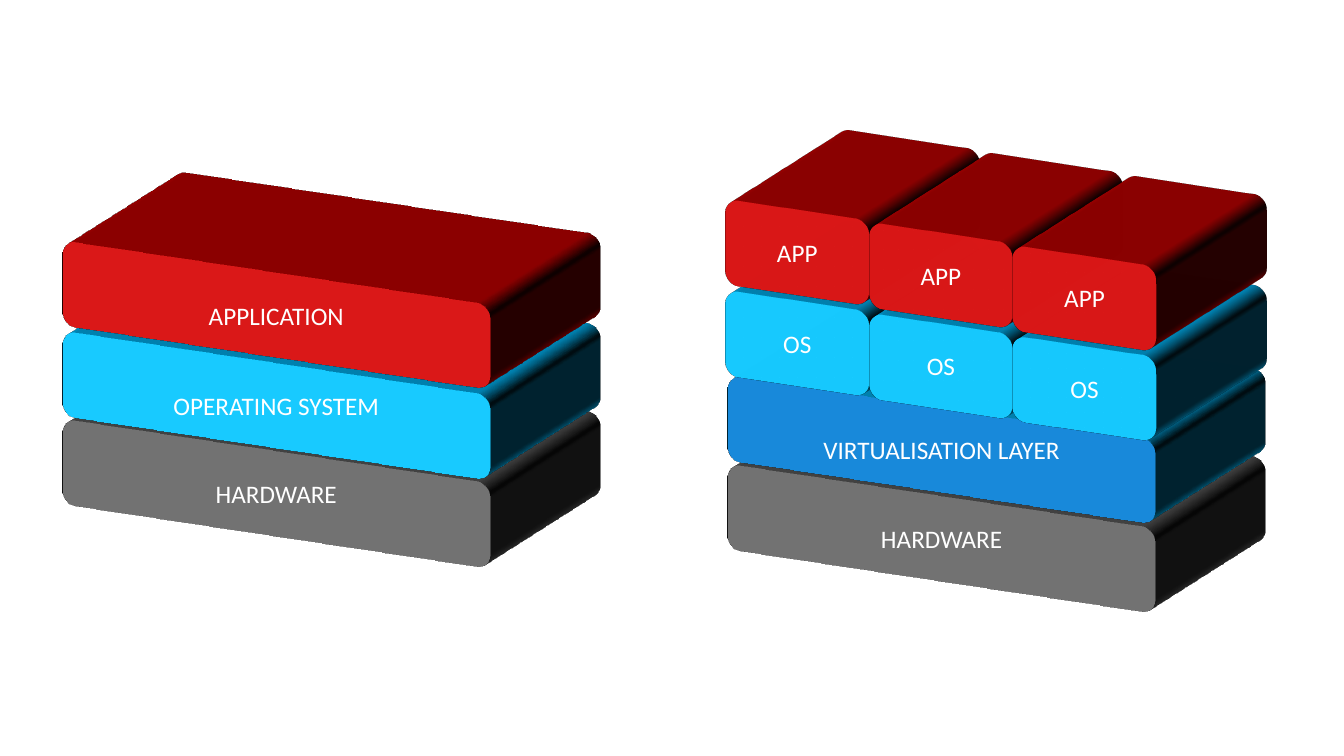
from lxml import etree
from pptx import Presentation
from pptx.dml.color import RGBColor
from pptx.enum.shapes import MSO_SHAPE as Preset
from pptx.enum.text import MSO_ANCHOR as Anchor, PP_ALIGN as Align
from pptx.oxml.ns import nsdecls
from pptx.util import Pt

WHITE = RGBColor(0xFF, 0xFF, 0xFF)
GREY = RGBColor(0x59, 0x59, 0x59)
BLUE = RGBColor(0x00, 0x70, 0xC0)
CYAN = RGBColor(0x00, 0xB0, 0xF0)
RED = RGBColor(0xC0, 0x00, 0x00)

LAYER_WIDTH, COLUMN_WIDTH, BLOCK_HEIGHT = 340, 113.8, 64
BLOCK_DEPTH = 180
LABEL_FONT = {"name": "Calibri", "size": Pt(18)}

PHYSICAL_LAYERS = [
    ("HARDWARE", 320.4, GREY, GREY),
    ("OPERATING SYSTEM", 257.8, CYAN, CYAN),
    ("APPLICATION", 193, RED, RED),
]
VIRTUAL_LAYERS = [
    ("HARDWARE", 352.8, GREY, GREY),
    ("VIRTUALISATION LAYER", 289.4, BLUE, CYAN),
]
COLUMN_COUNT = 3
COLUMN_LEFT, COLUMN_STEP = 512.6, 102.6
OS_TOP, OS_DROP, APP_RISE = 213.1, 16.2, 64.8


def set_values(target, values):
    for name, value in values.items():
        setattr(target, name, value)


def extrude(box):
    properties = box._element.spPr
    scene = (
        f'<a:scene3d {nsdecls("a")}><a:camera prst="isometricOffAxis2Left"/>'
        '<a:lightRig rig="threePt" dir="t"/></a:scene3d>'
    )
    solid = f'<a:sp3d {nsdecls("a")} extrusionH="{int(Pt(BLOCK_DEPTH))}"/>'
    for markup in (scene, solid):
        properties.append(etree.fromstring(markup))


def add_block(page, label, left, top, width, fill, outline):
    box = page.shapes.add_shape(
        Preset.ROUNDED_RECTANGLE, Pt(left), Pt(top), Pt(width), Pt(BLOCK_HEIGHT)
    )
    box.fill.solid()
    box.fill.fore_color.rgb = fill
    box.line.color.rgb = outline
    box.line.width = Pt(1)
    box.shadow.inherit = False
    extrude(box)
    set_values(box.text_frame, {"word_wrap": True, "vertical_anchor": Anchor.MIDDLE})
    para = box.text_frame.paragraphs[0]
    para.alignment = Align.CENTER
    span = para.add_run()
    span.text = label
    set_values(span.font, LABEL_FONT)
    span.font.color.rgb = WHITE


def add_layers(page, left, layers):
    for label, top, fill, outline in layers:
        add_block(page, label, left, top, LAYER_WIDTH, fill, outline)


def add_machines(page):
    for column in range(COLUMN_COUNT):
        left = COLUMN_LEFT + column * COLUMN_STEP
        top = OS_TOP + column * OS_DROP
        add_block(page, "OS", left, top, COLUMN_WIDTH, CYAN, CYAN)
        add_block(page, "APP", left, top - APP_RISE, COLUMN_WIDTH, RED, RED)


def main():
    deck = Presentation()
    set_values(deck, {"slide_width": Pt(960), "slide_height": Pt(540)})
    page = deck.slides.add_slide(deck.slide_layouts[6])
    add_layers(page, 502.6, VIRTUAL_LAYERS)
    add_machines(page)
    add_layers(page, 27.4, PHYSICAL_LAYERS)
    deck.save("out.pptx")


main()
